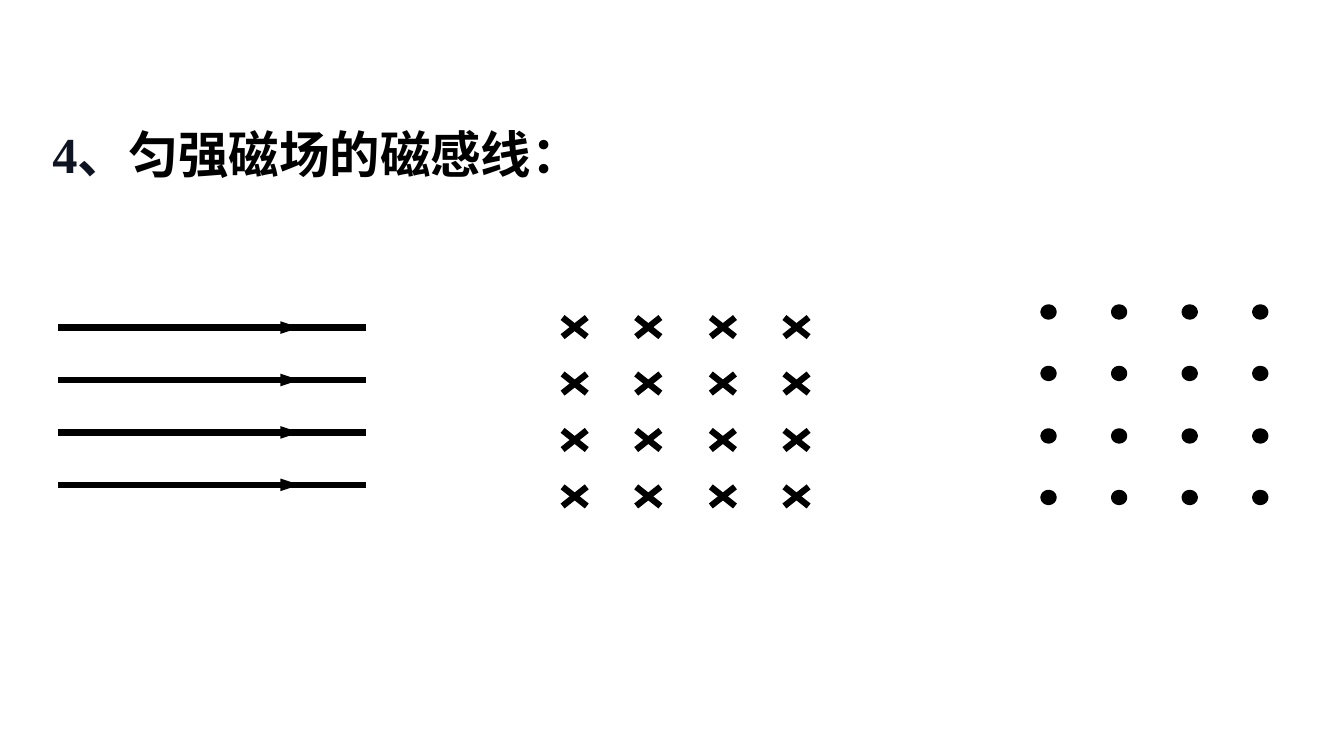
import itertools

import pptx
import pptx.dml.color
import pptx.enum.shapes
import pptx.enum.text
import pptx.oxml
import pptx.oxml.ns
import pptx.util

COLORS = {"ink": "000000", "number": "0F1423", "paper": "FFFFFF"}
PX = 9144
COUNT = 4


def color(key):
    """Return the named colour."""
    return pptx.dml.color.RGBColor.from_string(COLORS[key])


def steps(first, last):
    """Return evenly spaced positions from first to last."""
    return [round(first + (last - first) * i / (COUNT - 1)) for i in range(COUNT)]


class FieldSlide:
    """Draw magnetic field diagrams on one slide."""

    def __init__(self, deck):
        """Add a title-only slide with a plain background."""
        self.stroke = pptx.util.Pt(4.5)
        self.slide = deck.slides.add_slide(deck.slide_layouts[5])
        self.slide.background.fill.solid()
        self.slide.background.fill.fore_color.rgb = color("paper")

    def diagram(self):
        """Start a group for one diagram."""
        self.shapes = self.slide.shapes.add_group_shape().shapes

    def heading(self, box, pieces):
        """Place the title and write its formatted pieces."""
        title = self.slide.shapes.title
        for name, value in zip(("left", "top", "width", "height"), box):
            setattr(title, name, value * PX)
        frame = title.text_frame
        layout = {
            "word_wrap": False,
            "auto_size": pptx.enum.text.MSO_AUTO_SIZE.SHAPE_TO_FIT_TEXT,
            "vertical_anchor": pptx.enum.text.MSO_ANCHOR.TOP,
        }
        for name, value in layout.items():
            setattr(frame, name, value)
        paragraph = frame.paragraphs[0]
        paragraph.alignment = pptx.enum.text.PP_ALIGN.LEFT
        for words, font, key in pieces:
            run = paragraph.add_run()
            run.text = words
            look = {"name": font, "size": pptx.util.Pt(36), "bold": True}
            for name, value in look.items():
                setattr(run.font, name, value)
            run.font.color.rgb = color(key)

    def line(self, x1, y1, x2, y2, arrow=False):
        """Draw a straight line, with an arrowhead at its end if asked."""
        stroke = self.shapes.add_connector(
            pptx.enum.shapes.MSO_CONNECTOR.STRAIGHT,
            x1 * PX, y1 * PX, x2 * PX, y2 * PX)
        stroke.line.color.rgb = color("ink")
        stroke.line.width = self.stroke
        if arrow:
            head = pptx.oxml.parse_xml(
                f'<a:tailEnd {pptx.oxml.ns.nsdecls("a")} type="triangle" w="sm" len="med"/>')
            stroke.line._get_or_add_ln().append(head)
        stroke._element.spPr.append(
            pptx.oxml.parse_xml(f'<a:effectLst {pptx.oxml.ns.nsdecls("a")}/>'))

    def cross(self, x, y, width, height):
        """Draw a field line pointing into the page."""
        self.line(x, y, x + width, y + height)
        self.line(x + width, y, x, y + height)

    def dot(self, x, y, width, height):
        """Draw a field line pointing out of the page."""
        point = self.shapes.add_shape(
            pptx.enum.shapes.MSO_SHAPE.OVAL, x * PX, y * PX, width * PX, height * PX)
        point.shadow.inherit = False
        point.fill.solid()
        point.fill.fore_color.rgb = color("ink")
        point.line.color.rgb = color("ink")
        point.line.width = self.stroke


def main():
    """Build and save the slide."""
    deck = pptx.Presentation()
    deck.slide_width, deck.slide_height = 1333 * PX, 750 * PX
    field = FieldSlide(deck)
    field.heading((42, 117, 552, 71), [
        ("4、", "Times New Roman", "number"),
        ("匀强磁场的磁感线：", "Arial", "ink"),
    ])

    field.diagram()
    for y in steps(325, 481):
        field.line(58, y, 297, y, arrow=True)
        field.line(279, y, 363, y)

    field.diagram()
    for x, y in itertools.product(steps(558, 778), steps(315, 483)):
        field.cross(x, y, 24, 19)

    field.diagram()
    for x, y in itertools.product(steps(1035, 1245), steps(305, 489)):
        field.dot(x, y, 10, 9)

    deck.save("out.pptx")


if __name__ == "__main__":
    main()
